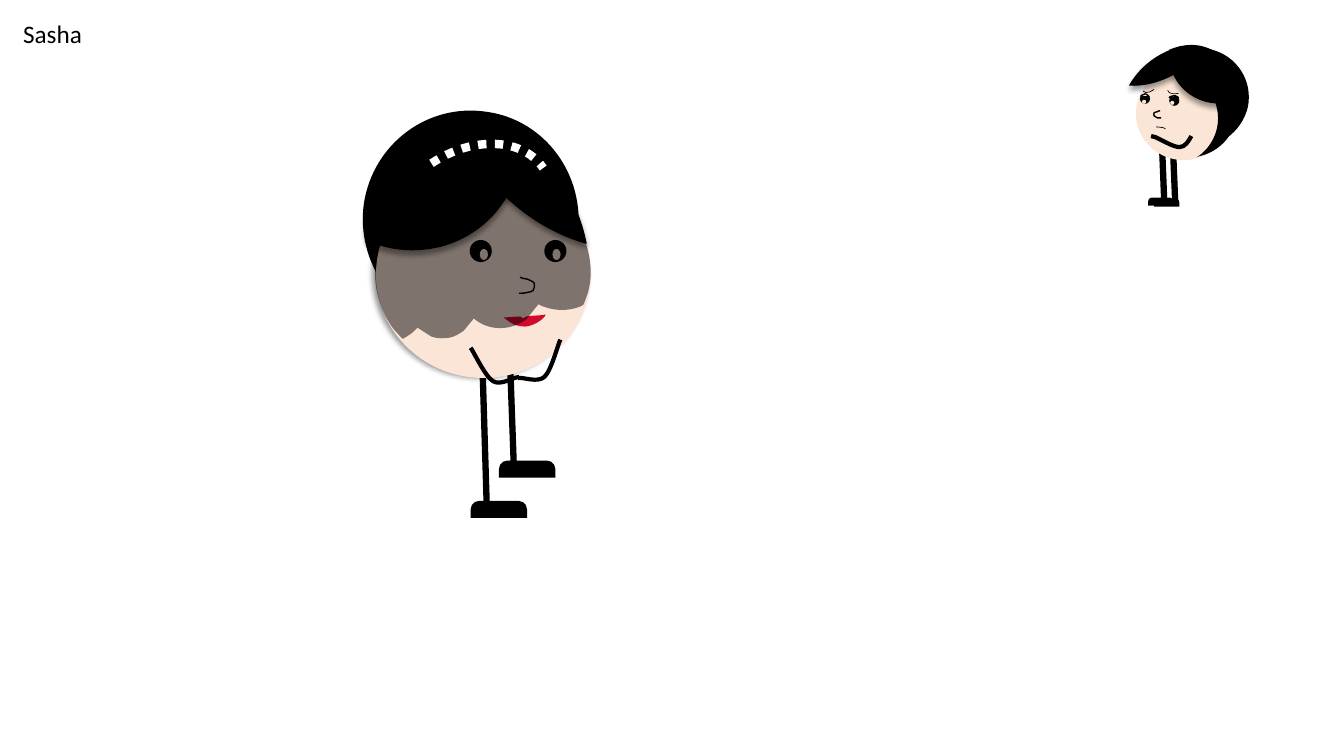
from math import cos, radians, sin

from lxml.etree import SubElement
from pptx import Presentation
from pptx.dml.color import RGBColor
from pptx.enum.dml import MSO_LINE
from pptx.enum.shapes import MSO_CONNECTOR, MSO_SHAPE
from pptx.enum.text import MSO_AUTO_SIZE
from pptx.oxml.ns import qn
from pptx.util import Pt

BLACK = RGBColor(0x00, 0x00, 0x00)
WHITE = RGBColor(0xFF, 0xFF, 0xFF)
SKIN = RGBColor(0xFB, 0xE5, 0xD6)
RED = RGBColor(0xD1, 0x0B, 0x2C)
LIMB = 4.5
TAGS = {"M": ("a:moveTo", 1), "L": ("a:lnTo", 1), "C": ("a:cubicBezTo", 3)}


class Art:
    def __init__(self, slide, font="Calibri", size=18):
        self.slide, self.font, self.size = slide, font, size
        self.shapes = slide.shapes

    def group(self):
        self.shapes = self.slide.shapes.add_group_shape().shapes

    def text(self, words, x, y, w, h):
        box = self.slide.shapes.add_textbox(Pt(x), Pt(y), Pt(w), Pt(h))
        frame = box.text_frame
        frame.word_wrap = True
        frame.auto_size = MSO_AUTO_SIZE.SHAPE_TO_FIT_TEXT
        para = frame.paragraphs[0]
        para.text = words
        para.font.name, para.font.size = self.font, Pt(self.size)
        para.font.color.rgb = BLACK

    def paint(self, shape, fill, line=None, width=0, shade=None, alpha=None):
        shape.shadow.inherit = False
        if fill is None:
            shape.fill.background()
        else:
            shape.fill.solid()
            shape.fill.fore_color.rgb = fill
        if line is None:
            shape.line.fill.background()
        else:
            shape.line.color.rgb = line
            shape.line.width = Pt(width)
        props = shape._element.spPr
        if alpha is not None:
            tint = props.find(qn("a:solidFill"))[0]
            SubElement(tint, qn("a:alpha"), val=str(alpha * 1000))
        if shade is not None:
            cast = SubElement(props.find(qn("a:effectLst")), qn("a:outerShdw"),
                              blurRad=str(Pt(4)), dist=str(Pt(3)),
                              dir=str(shade * 60000), algn="ctr", rotWithShape="0")
            tint = SubElement(cast, qn("a:srgbClr"), val=str(BLACK))
            SubElement(tint, qn("a:alpha"), val="40000")
        return shape

    def preset(self, kind, x, y, w, h, fill=BLACK, **style):
        shape = self.shapes.add_shape(kind, Pt(x), Pt(y), Pt(w), Pt(h))
        return self.paint(shape, fill, **style)

    def oval(self, x, y, w, h, fill=BLACK, **style):
        return self.preset(MSO_SHAPE.OVAL, x, y, w, h, fill, **style)

    def arc(self, x, y, w, h, turn, line, width):
        shape = self.preset(MSO_SHAPE.ARC, x, y, w, h, None, line=line, width=width)
        shape.rotation = turn
        return shape

    def shoe(self, x, y, w, h):
        shape = self.preset(MSO_SHAPE.ROUND_2_SAME_RECTANGLE, x, y, w, h)
        shape.adjustments[0] = 0.5

    def leg(self, x1, y1, x2, y2):
        line = self.shapes.add_connector(MSO_CONNECTOR.STRAIGHT,
                                         Pt(x1), Pt(y1), Pt(x2), Pt(y2))
        line.line.color.rgb = BLACK
        line.line.width = Pt(LIMB)
        SubElement(line._element.spPr, qn("a:effectLst"))

    def form(self, box, turn, route, fill=BLACK, **style):
        """Closed, filled outline."""
        shape, track = self.draw(box, turn, route)
        SubElement(track, qn("a:close"))
        self.paint(shape, fill, **style)

    def stroke(self, box, turn, route, width):
        """Open line."""
        shape, _ = self.draw(box, turn, route)
        self.paint(shape, None, line=BLACK, width=width)

    def draw(self, box, turn, route):
        """Curved outline; its points are given as seen after the turn."""
        x, y, w, h = box
        pen = self.shapes.build_freeform(Pt(x), Pt(y), scale=1.0)
        pen.add_line_segments([(Pt(x + w), Pt(y + h))], close=False)
        shape = pen.convert_to_shape()
        shape.rotation = turn
        track = shape._element.spPr.find(".//" + qn("a:path"))
        del track[:]
        c, s = cos(radians(turn)), sin(radians(turn))
        for word in route.split():
            if word in TAGS:
                tag, count = TAGS[word]
                node = None
                continue
            if node is None or len(node) == count:
                node = SubElement(track, qn(tag))
            px, py = (float(part) for part in word.split(","))
            dx, dy = px - x - w / 2, py - y - h / 2
            SubElement(node, qn("a:pt"), x=str(Pt(w / 2 + dx * c + dy * s)),
                       y=str(Pt(h / 2 + dy * c - dx * s)))
        return shape, track


def large(art):
    art.group()
    # Back hair, legs, face
    art.form((260.6, 78.5, 153.4, 136.8), 8.4,
             "M 347.8,79.9 C 389.5,85.7 418.3,125.3 412.6,167.8 411.8,170.6 411.1,173.5 410.4,175.7 "
             "L 410.4,176.4 409.7,175 C 398.2,162 381.6,152.6 363.6,149.8 326.9,144.7 292.3,166.3 280.1,200.9 "
             "L 277.9,208.1 274.3,203.8 C 262.8,187.2 257,167 259.9,145.4 266.4,103 305.3,73.4 347.8,79.9")
    art.leg(344.9, 270, 347.8, 365)
    art.leg(364.3, 257, 367.2, 338.4)
    art.oval(268.6, 121.7, 153.4, 148.3, SKIN, shade=180)
    for x, y in ((356.4, 329), (336.2, 357.8)):
        art.shoe(x, y, 40.3, 12.2)
    # Right arm, nose, eyes
    art.stroke((368.6, 244.1, 32.4, 27.4), 355.3,
               "M 400.3,242.6 C 398.9,244.8 393.8,265 388.8,269.3 383.8,273.6 373.7,269.3 370.1,270", 3)
    art.stroke((370.8, 198, 11.5, 11.5), 0,
               "M 371.5,198 C 372.2,198 372.2,198 373,198.7 373.7,198.7 375.1,199.4 376.6,199.4 "
               "378,200.2 380.9,200.9 381.6,202.3 382.3,203.8 381.6,205.9 380.9,207.4 "
               "380.2,208.1 378.7,208.8 377.3,208.8 375.1,209.5 373,209.5 370.8,209.5", 1)
    for eye, glint in ((335.5, 342.7), (388.8, 394.6)):
        art.oval(eye, 171.4, 15.8, 15.8)
        art.oval(glint, 177.8, 5.8, 7.9, SKIN)
    # Fringe
    art.form((253.4, 90, 126.7, 84.2), 345.6,
             "M 319,88.6 C 337,83.5 355,85.7 370.1,92.2 L 371.5,93.6 372.2,100.1 "
             "C 373.7,134.6 350.6,167 314.6,176.4 296.6,180.7 278.6,179.3 262.8,172.1 "
             "L 261.4,171.4 260.6,164.2 C 259.2,129.6 283,97.2 319,88.6", shade=90)
    art.form((333.4, 117.4, 102.2, 38.9), 46.2,
             "M 360.7,88.6 L 367.9,94.3 C 393.1,113 412.6,141.1 419,173.5 L 419,174.2 "
             "C 396,167.8 374.4,154.8 355.7,135.4 L 355,134.6 357.1,128.9 "
             "C 359.3,119.5 360.7,110.2 360.7,100.1 L 360.7,88.6", shade=90)
    # Left arm, lips, hair band
    art.stroke((337, 246.2, 32.4, 27.4), 354.1,
               "M 336.2,248.4 C 337.7,249.8 346.3,268.6 352.1,272.2 357.8,275.8 366.5,269.3 370.8,269.3", 3)
    art.form((360, 224.6, 29.5, 8.6), 0,
             "M 360,226.8 C 361.4,226.8 368.6,226.1 371.5,226.1 373.7,226.8 373,227.5 373.7,227.5 "
             "374.4,227.5 373.7,226.8 375.8,226.1 378.7,225.4 388.1,225.4 389.5,224.6 "
             "391,224.6 386.6,229 383.8,230.4 381.6,231.8 377.3,233.3 375.1,233.3 "
             "373,233.3 367.9,232.6 365.8,231.1 363.6,229.7 359.3,226.8 360,226.8", RED)
    band = art.arc(270, 108.7, 128.9, 94.3, 326.2, WHITE, 6)
    band.line.dash_style = MSO_LINE.ROUND_DOT
    # Veil
    art.form((267.1, 123.8, 154.1, 115.9), 176.2,
             "M 344.9,123.8 C 387.4,123.8 421.9,155.5 421.9,195.1 421.9,199.4 421.2,204.5 419.8,209.5 "
             "L 416.9,217.4 414.7,218.9 C 405.4,222.5 394.6,222.5 384.5,217.4 L 375.8,228.2 "
             "C 365,236.2 349.2,236.9 338.4,227.5 L 331.2,236.2 C 328.3,238.3 324.7,240.5 321.1,241.2 "
             "316.8,241.9 312.5,241.9 308.2,240.5 L 298.1,234 C 295.2,237.6 291.6,239.8 288,241.9 "
             "L 287.3,241.9 280.8,234.7 C 272.9,223.9 267.8,210.2 267.8,195.1 "
             "267.8,155.5 302.4,123.8 344.9,123.8", alpha=49)


def small(art):
    art.group()
    # Back hair, legs, face
    art.form((824.4, 34.6, 68.4, 61.2), 12.3,
             "M 864.7,35.3 C 846.7,31 828,43.2 824.4,61.9 823.7,63.4 823.7,64.1 823.7,65.5 L 824.4,65.5 "
             "C 830.9,61.9 838.8,60.5 847.4,61.9 863.3,65.5 874.1,80.6 874.1,96.5 L 874.1,100.1 876.2,98.6 "
             "C 883.4,93.6 889.2,85.7 891.4,76.3 895,57.6 883.4,39.6 864.7,35.3")
    art.leg(830.2, 108, 831.6, 144)
    art.leg(838.1, 111.6, 839.5, 145.4)
    art.oval(811.4, 48.2, 68.4, 66.2, SKIN)
    for x, y in ((820.1, 141.1), (824.4, 141.8)):
        art.shoe(x, y, 18, 5.8)
    # Arm, nose, eyes
    art.stroke((828.7, 86.4, 17.3, 25.2), 59.7,
               "M 851,97.2 C 848.9,100.8 846.7,105.1 842.4,105.1 838.1,105.1 828.7,99.4 825.1,97.9 "
               "822.2,97.2 822.2,97.2 822.2,97.2", 3)
    art.stroke((824.4, 79.2, 5, 5), 0,
               "M 828.7,79.2 C 828.7,79.2 828.7,79.2 828,79.2 828,79.2 827.3,79.2 826.6,79.9 "
               "825.8,79.9 824.4,80.6 824.4,80.6 823.7,81.4 824.4,82.8 824.4,82.8 "
               "825.1,83.5 825.8,83.5 826.6,84.2 827.3,84.2 828,84.2 829.4,84.2", 1)
    for x, y in ((835.2, 68.4), (814.3, 67)):
        art.oval(x, y, 7.2, 7.2)
    # Fringe
    art.form((832.3, 34.6, 56.9, 37.4), 14.4,
             "M 859,33.1 C 851,31 843.1,32.4 835.9,35.3 L 835.2,35.3 835.2,38.9 "
             "C 834.5,54 845.3,68.4 861.1,72.7 869,74.9 877.7,74.2 884.2,70.6 "
             "L 884.9,70.6 885.6,67.7 C 885.6,51.8 875.5,37.4 859,33.1", shade=90)
    art.form((803.5, 41.8, 45.4, 17.3), 331.8,
             "M 843.1,33.1 L 838.8,34.6 C 825.8,38.9 813.6,48.2 806.4,61.2 817.2,61.9 828,59 838.8,53.3 "
             "L 838.8,50.4 C 838.8,46.1 839.5,41.8 841,37.4 L 843.1,33.1", shade=90)
    for x, y in ((835.9, 72), (815.8, 71.3)):
        art.oval(x, y, 2.9, 2.9, SKIN)
    # Side hair
    art.form((837.4, 42.5, 46.1, 67.7), 346.9,
             "M 841.7,46.1 C 838.1,46.8 835.2,48.2 832.3,49.7 L 830.9,51.1 831.6,51.1 "
             "C 848.9,49 865.4,59.8 869,76.3 872.6,90 866.9,103.7 856.1,111.6 L 854.6,112.3 856.8,111.6 "
             "C 875.5,107.3 887,89.3 882.7,71.3 878.4,53.3 860.4,41.8 841.7,46.1")
    # Brows, lids, mouth
    art.arc(815, 56.9, 13.7, 7.9, 141.1, BLACK, 0.5)
    art.arc(833.8, 59, 13.7, 7.9, 165.9, BLACK, 0.5)
    for x, y, lid in ((835.2, 68.4, "M 838.1,68.4 C 839.5,68.4 840.2,68.4 841,69.1 "
                       "L 841.7,69.8 835.2,69.8 835.9,69.1 C 836.6,68.4 837.4,68.4 838.1,68.4"),
                      (815, 67, "M 817.9,67 C 818.6,67 819.4,67.7 820.1,68.4 "
                       "L 820.8,69.1 815,69.1 815,68.4 C 815.8,67.7 816.5,67 817.9,67")):
        art.form((x, y, 5.8, 1.4), 0, lid, SKIN, line=BLACK, width=1)
    art.arc(819.4, 90.7, 13, 2.9, 0, BLACK, 0.5)


def main():
    deck = Presentation()
    deck.slide_width, deck.slide_height = Pt(960), Pt(540)
    art = Art(deck.slides.add_slide(deck.slide_layouts[6]))
    art.text("Sasha", 9.4, 9.4, 72.7, 28.8)
    large(art)
    small(art)
    deck.save("out.pptx")


if __name__ == "__main__":
    main()
